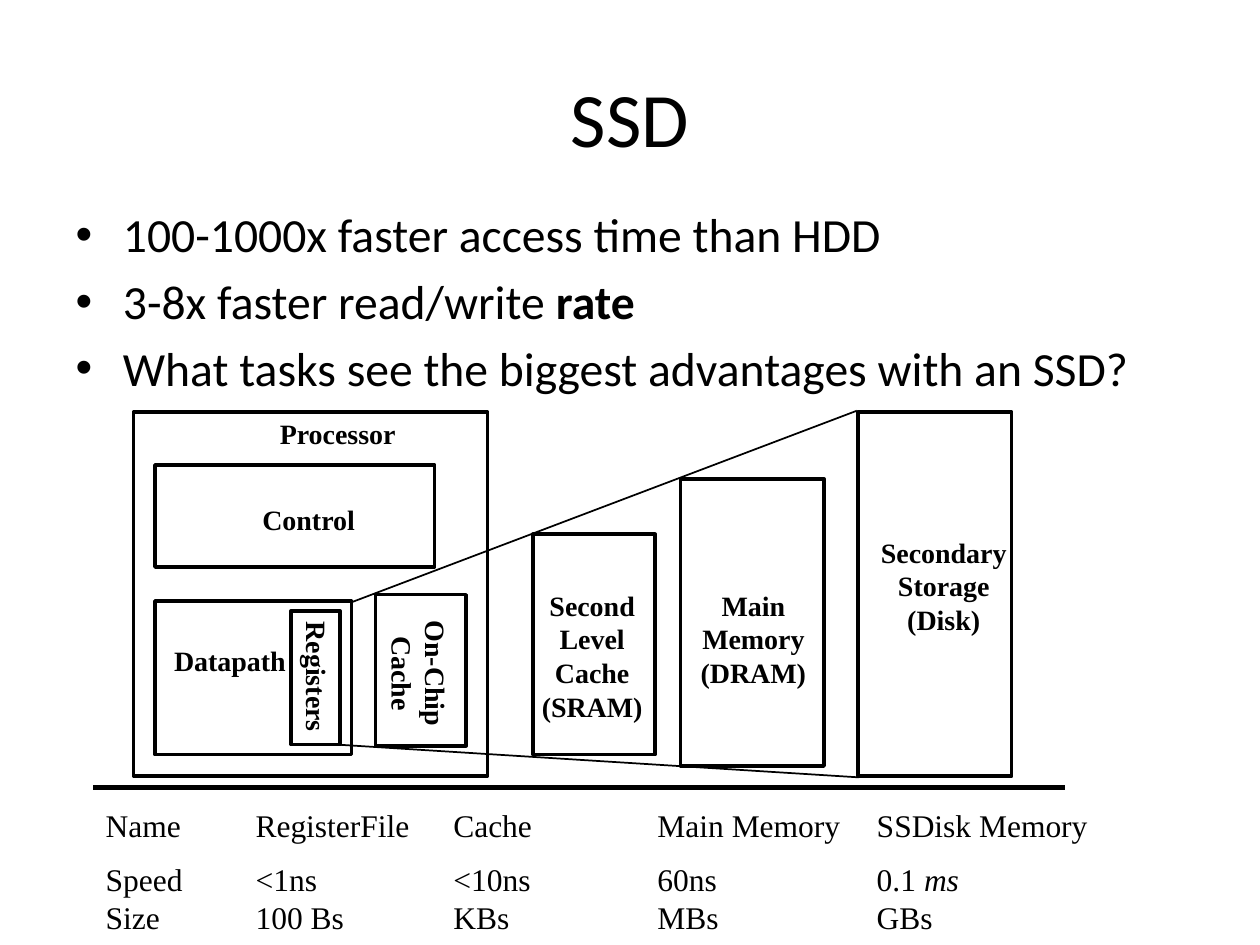
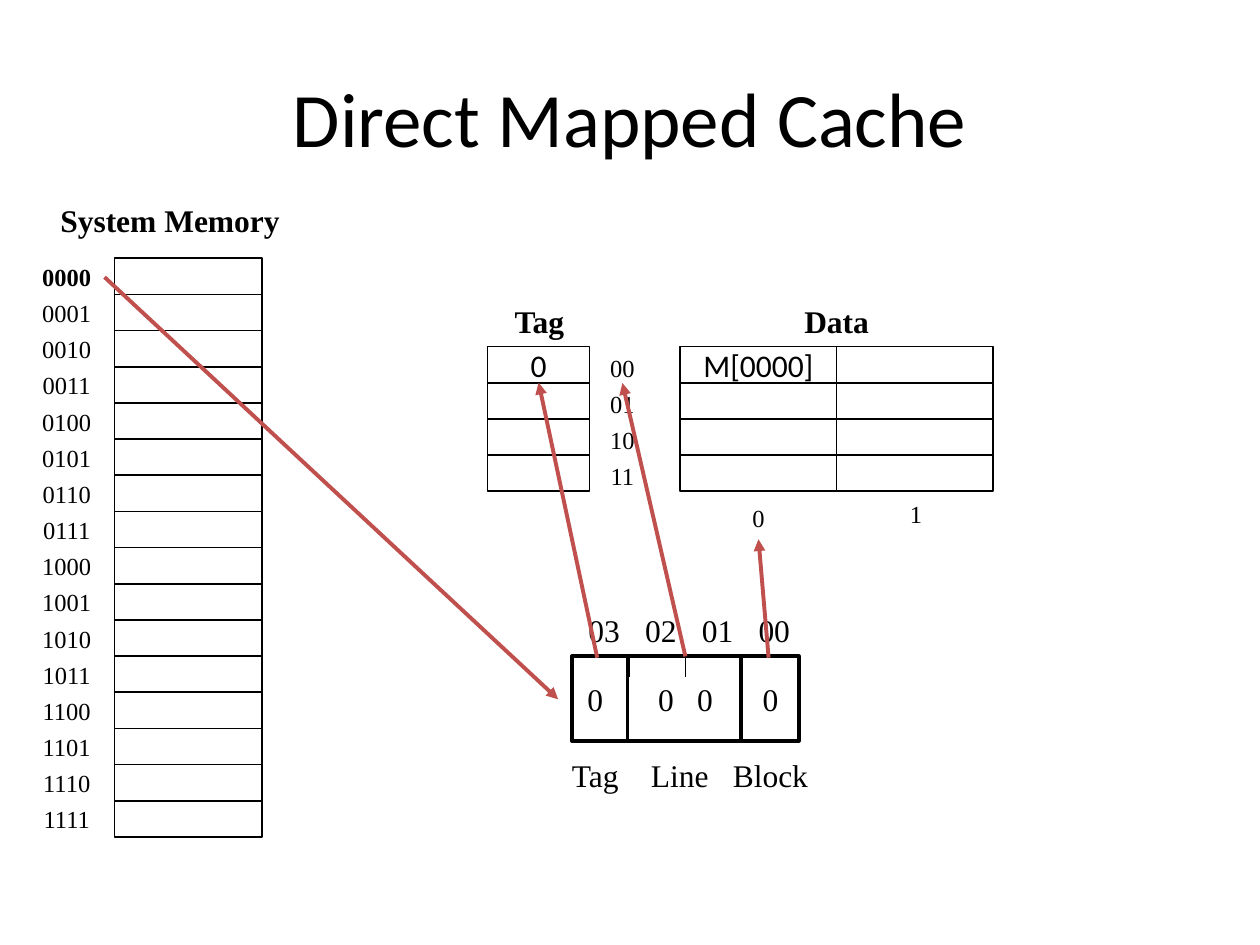
from pptx import Presentation
from pptx.dml.color import RGBColor
from pptx.enum.shapes import MSO_CONNECTOR, MSO_SHAPE
from pptx.enum.text import MSO_ANCHOR, MSO_AUTO_SIZE, PP_ALIGN
from pptx.oxml.ns import qn
from pptx.util import Inches, Pt
from lxml.etree import SubElement

BLACK = RGBColor(0, 0, 0)
WHITE = RGBColor(255, 255, 255)
RED = RGBColor(0xC0, 0x50, 0x4D)
SANS, SERIF = "Calibri", "Times New Roman"
TITLE_AND_CONTENT, TITLE_ONLY = 1, 5
TOP, BOTTOM, LEFT, RIGHT = 0, 2, 1, 3

# Content of the SSD slide; text runs are (text, style) pairs
SSD_POINTS = [
    [("100-1000x faster access time than HDD", "")],
    [("3-8x faster read/write ", ""), ("rate", "bold")],
    [("What tasks see the biggest advantages with an SSD?", "")],
]
HIERARCHY_BOXES = {
    "control": (1.23, 3.69, 2.22, 0.81),
    "datapath": (1.23, 4.77, 1.56, 1.22),
    "disk": (6.81, 3.27, 1.22, 2.89),
    "processor": (1.06, 3.27, 2.81, 2.89),
    "registers": (2.31, 4.85, 0.39, 1.06),
    "on-chip cache": (2.98, 4.72, 0.72, 1.2),
    "second level cache": (4.23, 4.24, 0.97, 1.75),
    "main memory": (5.4, 3.8, 1.14, 2.28),
}
HIERARCHY_LABELS = [  # lines, place, rotation
    (["Control"], (1.98, 3.94, 0.94, 0.36), 0),
    (["Datapath"], (1.28, 5.06, 1.09, 0.36), 0),
    (["Secondary", "Storage", "(Disk)"], (6.89, 4.2, 1.2, 0.9), 0),
    (["Processor"], (2.12, 3.26, 1.12, 0.36), 0),
    (["Registers"], (1.98, 5.19, 1.08, 0.36), 90),
    (["Main", "Memory", "(DRAM)"], (5.46, 4.62, 1.04, 0.9), 0),
    (["Second", "Level", "Cache", "(SRAM)"], (4.2, 4.62, 1, 1.17), 0),
    (["On-Chip", "Cache"], (2.81, 5.03, 1.04, 0.63), 90),
]
FUNNEL_LINES = [((2.79, 4.78), (6.8, 3.26)), ((2.68, 5.91), (6.82, 6.17))]
SPEED_TABS = [1.19, 2.76, 4.38, 6.12]
SPEED_ROWS = [
    [("Name\tRegisterFile\tCache\tMain Memory\tSSDisk Memory", "")],
    [("Speed\t<1ns\t<10ns\t60ns\t0.1 ", ""), ("ms", "italic"), None,
     ("Size\t100 Bs\tKBs\tMBs\tGBs", "")],
]

# Content of the cache slide
CELL_HEIGHT = 0.287
MEMORY_TOP, CACHE_TOP = 2.05, 2.75
CACHE_COLUMNS = [  # left, width, text of the first cell
    (3.87, 0.81, "0"),
    (5.4, 1.24, "M[0000]"),
    (6.64, 1.24, ""),
]
HEADINGS = [
    ("System Memory", (0.37, 1.55, 1.96, 0.4)),
    ("Tag", (3.97, 2.35, 0.62, 0.4)),
    ("Data", (6.28, 2.35, 0.72, 0.4)),
]
ADDRESS = (4.54, 5.21, 1.8, 0.67)
BIT_WIDTH = 0.45
BIT_NUMBERS = ["03", "02", "01", "00"]
FIELDS = [("Tag", 4.43, 0.59), ("Line", 5.04, 0.71), ("Block", 5.68, 0.87)]
BIT_VALUES = [("0", 4.43, 0.59), ("0", 5.06, 0.45), ("0", 5.37, 0.45),
              ("0", 5.68, 0.87)]


def add_titled_slide(presentation, layout, title):
    slide = presentation.slides.add_slide(presentation.slide_layouts[layout])
    shape = slide.shapes.title
    place(shape, (0.5, 0.3, 9, 1.25))
    shape.text_frame.text = title
    shape.text_frame.vertical_anchor = MSO_ANCHOR.MIDDLE
    style(shape.text_frame.paragraphs[0], 44, SANS)
    return slide


def place(shape, at):
    shape.left, shape.top, shape.width, shape.height = map(Inches, at)


def style(paragraph, size, font, bold=None, align=PP_ALIGN.CENTER):
    paragraph.alignment = align
    paragraph.font.size = Pt(size)
    paragraph.font.name = font
    paragraph.font.bold = bold
    paragraph.font.color.rgb = BLACK


def fill_runs(paragraph, runs):
    """Add (text, style) runs; None stands for a line break."""
    for item in runs:
        if item is None:
            paragraph.add_line_break()
            continue
        run = paragraph.add_run()
        run.text, emphasis = item
        if emphasis == "bold":
            run.font.bold = True
        elif emphasis == "italic":
            run.font.italic = True


def add_label(slide, lines, at, size, bold=False, rotation=0):
    box = slide.shapes.add_textbox(*map(Inches, at))
    box.rotation = rotation
    frame = box.text_frame
    frame.word_wrap = False
    frame.auto_size = MSO_AUTO_SIZE.SHAPE_TO_FIT_TEXT
    for index, line in enumerate(lines):
        paragraph = frame.add_paragraph() if index else frame.paragraphs[0]
        paragraph.text = line
        style(paragraph, size, SERIF, bold)
    return box


def add_box(slide, at, width, fill=None, text=""):
    box = slide.shapes.add_shape(MSO_SHAPE.RECTANGLE, *map(Inches, at))
    box.shadow.inherit = False
    if fill is None:
        box.fill.background()
    else:
        box.fill.solid()
        box.fill.fore_color.rgb = fill
    box.line.color.rgb = BLACK
    box.line.width = Pt(width)
    if text:
        frame = box.text_frame
        frame.word_wrap = False
        frame.vertical_anchor = MSO_ANCHOR.MIDDLE
        frame.text = text
        style(frame.paragraphs[0], 18, SANS)
    return box


def add_line(slide, start, end, width, color=BLACK, arrow=False):
    """Each end is a point (x, y) or a join (shape, side)."""
    begin_joined, end_joined = (not isinstance(e[0], (int, float))
                                for e in (start, end))
    x1, y1 = (0, 0) if begin_joined else map(Inches, start)
    x2, y2 = (0, 0) if end_joined else map(Inches, end)
    line = slide.shapes.add_connector(MSO_CONNECTOR.STRAIGHT, x1, y1, x2, y2)
    if begin_joined:
        line.begin_connect(*start)
    if end_joined:
        line.end_connect(*end)
    line.line.color.rgb = color
    line.line.width = Pt(width)
    properties = line._element.spPr
    if arrow:
        SubElement(properties.find(qn("a:ln")), qn("a:tailEnd"), type="triangle")
    SubElement(properties, qn("a:effectLst"))


def build_ssd_slide(presentation):
    slide = add_titled_slide(presentation, TITLE_AND_CONTENT, "SSD")

    # Bullet points
    body = slide.placeholders[1]
    place(body, (0.5, 1.58, 9, 1.5))
    frame = body.text_frame
    frame.auto_size = MSO_AUTO_SIZE.NONE
    for index, runs in enumerate(SSD_POINTS):
        paragraph = frame.add_paragraph() if index else frame.paragraphs[0]
        fill_runs(paragraph, runs)
        style(paragraph, 27.2, SANS, align=PP_ALIGN.LEFT)
    frame.paragraphs[0].space_before = Pt(0)

    # Memory hierarchy
    for at in HIERARCHY_BOXES.values():
        add_box(slide, at, 2)
    for start, end in FUNNEL_LINES:
        add_line(slide, start, end, 1)
    for lines, at, rotation in HIERARCHY_LABELS:
        add_label(slide, lines, at, 16, True, rotation)

    # Speeds and sizes, aligned by tabs
    add_line(slide, (0.74, 6.25), (8.45, 6.25), 3)
    box = slide.shapes.add_textbox(*map(Inches, (0.74, 6.35, 8.64, 1.15)))
    frame = box.text_frame
    frame.word_wrap = True
    for index, runs in enumerate(SPEED_ROWS):
        paragraph = frame.add_paragraph() if index else frame.paragraphs[0]
        tabs = SubElement(paragraph._p.get_or_add_pPr(), qn("a:tabLst"))
        for position in SPEED_TABS:
            SubElement(tabs, qn("a:tab"), pos=str(Inches(position)), algn="l")
        fill_runs(paragraph, runs)
        style(paragraph, 18, SERIF, align=PP_ALIGN.LEFT)
        paragraph.space_before = Pt(9 * index)


def build_cache_slide(presentation):
    slide = add_titled_slide(presentation, TITLE_ONLY, "Direct Mapped Cache")
    for text, at in HEADINGS:
        add_label(slide, [text], at, 18, True)

    # System memory
    memory_labels = []
    for row in range(16):
        top = MEMORY_TOP + row * CELL_HEIGHT
        add_box(slide, (0.91, top, 1.17, CELL_HEIGHT), 1, WHITE)
        memory_labels.append(add_label(
            slide, [f"{row:04b}"], (0.23, top - 0.02, 0.6, 0.34), 14, row == 0))

    # Cache lines
    cells = {}
    for row in range(4):
        top = CACHE_TOP + row * CELL_HEIGHT
        add_label(slide, [f"{row:02b}"], (4.74, top, 0.4, 0.34), 14)
        for column, (left, width, text) in enumerate(CACHE_COLUMNS):
            cells[row, column] = add_box(
                slide, (left, top, width, CELL_HEIGHT), 1, WHITE,
                "" if row else text)
    block_zero = add_label(slide, ["0"], (5.87, 3.94, 0.3, 0.34), 14)
    add_label(slide, ["1"], (7.12, 3.91, 0.3, 0.34), 14)

    # Address split into tag, line and block
    address = add_box(slide, ADDRESS, 2.25, WHITE)
    left, top, _, height = ADDRESS
    for tick in range(5):
        x = left + tick * BIT_WIDTH
        start = (address, TOP) if tick == 2 else (x, top)
        add_line(slide, start, (x, top + 0.16), 1)
    for x in (4.98, 5.88):
        add_line(slide, (x, top), (x, top + height), 2.25)
    for index, number in enumerate(BIT_NUMBERS):
        add_label(slide, [number],
                  (4.57 + index * BIT_WIDTH, 4.8, BIT_WIDTH, 0.4), 18)
    for text, x, width in FIELDS:
        add_label(slide, [text], (x, 5.95, width, 0.4), 18)
    values = [add_label(slide, [text], (x, 5.35, width, 0.4), 18)
              for text, x, width in BIT_VALUES]

    # Arrows from memory to address, and from address to cache
    for start, end in [
        ((memory_labels[0], RIGHT), (4.43, 5.55)),
        ((4.74, 5.22), (cells[0, 0], BOTTOM)),
        ((address, TOP), (4.94, 3.04)),
        ((6.1, 5.22), (block_zero, BOTTOM)),
    ]:
        add_line(slide, start, end, 2.25, RED, arrow=True)


def main():
    presentation = Presentation()
    presentation.slide_width, presentation.slide_height = Inches(10), Inches(7.5)
    build_ssd_slide(presentation)
    build_cache_slide(presentation)
    presentation.save("out.pptx")


if __name__ == "__main__":
    main()
